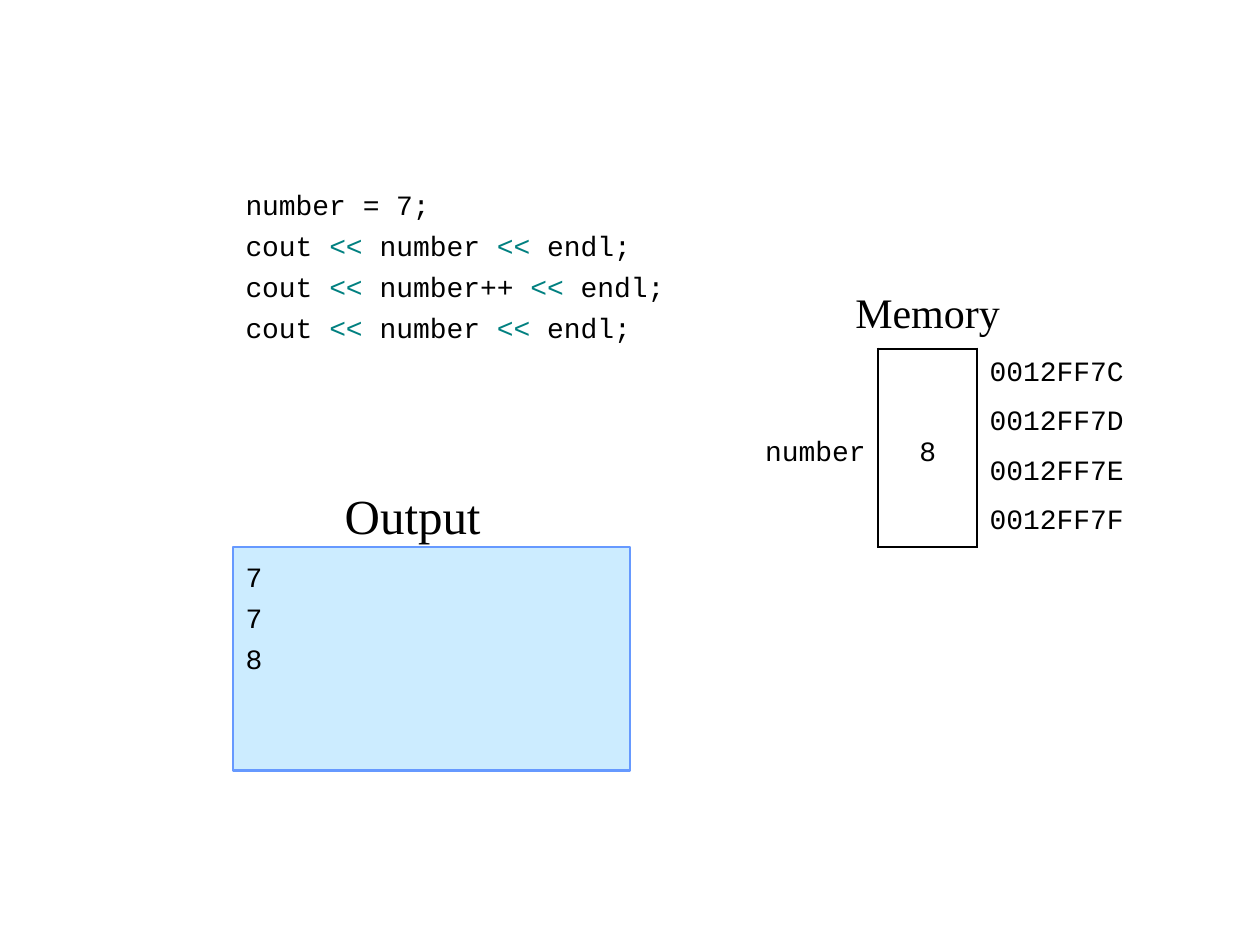
from dataclasses import dataclass

from lxml import etree
from pptx import Presentation
from pptx.dml.color import RGBColor
from pptx.enum.shapes import MSO_SHAPE
from pptx.enum.text import MSO_ANCHOR, PP_ALIGN
from pptx.oxml.ns import qn
from pptx.util import Cm, Pt

RECTANGLE = MSO_SHAPE.RECTANGLE
TOP, MIDDLE = MSO_ANCHOR.TOP, MSO_ANCHOR.MIDDLE
LEFT, CENTER, RIGHT = PP_ALIGN.LEFT, PP_ALIGN.CENTER, PP_ALIGN.RIGHT


@dataclass(frozen=True)
class Theme:
    """Colours, fonts and sizes of the slide."""
    ink: str = "000000"
    operator: str = "008080"
    screen: str = "CCECFF"
    screen_edge: str = "6699FF"
    code_font: str = "Courier New"
    heading_font: str = "Times New Roman"
    code_size: float = 16
    memory_size: float = 24
    output_size: float = 28
    line_gap: float = 4.2
    edge: float = 1.5


THEME = Theme()
OPERATOR = "<<"
CODE = [
    "number = 7;",
    "cout << number << endl;",
    "cout << number++ << endl;",
    "cout << number << endl;",
]
OUTPUT = ["7", "7", "8"]
ADDRESSES = ["0012FF7C", "0012FF7D", "0012FF7E", "0012FF7F"]


def style_paragraph(para, align=LEFT, font=THEME.code_font, size=THEME.code_size):
    """Set the alignment and font of one paragraph."""
    para.alignment = align
    para.font.name = font
    para.font.size = Pt(size)
    para.font.color.rgb = RGBColor.from_string(THEME.ink)


def write_lines(frame, lines):
    """Write code lines into a text frame, colouring the stream operators."""
    frame.word_wrap = True
    frame.vertical_anchor = TOP
    frame.margin_top = Cm(0.25)
    for index, line in enumerate(lines):
        para = frame.paragraphs[0] if index == 0 else frame.add_paragraph()
        style_paragraph(para)
        if index:
            para.space_before = Pt(THEME.line_gap)
        for position, piece in enumerate(line.split(OPERATOR)):
            if position:
                span = para.add_run()
                span.text = OPERATOR
                span.font.color.rgb = RGBColor.from_string(THEME.operator)
            para.add_run().text = piece


def add_code(page, left, top, width, height):
    """Place the program listing."""
    box = page.shapes.add_textbox(Cm(left), Cm(top), Cm(width), Cm(height))
    write_lines(box.text_frame, CODE)


def add_heading(page, text, size, center, bottom):
    """Place a heading centred above a region."""
    width, height = 4, 1.5
    box = page.shapes.add_textbox(
        Cm(center - width / 2), Cm(bottom - height), Cm(width), Cm(height))
    frame = box.text_frame
    frame.word_wrap = False
    frame.margin_top = Cm(0.25)
    para = frame.paragraphs[0]
    para.text = text
    style_paragraph(para, CENTER, THEME.heading_font, size)


def add_output(page, left, top, width, height):
    """Place the output screen with its heading."""
    add_heading(page, "Output", THEME.output_size, left + 3.62, top)
    screen = page.shapes.add_shape(
        RECTANGLE, Cm(left), Cm(top), Cm(width), Cm(height))
    screen.shadow.inherit = False
    screen.fill.solid()
    screen.fill.fore_color.rgb = RGBColor.from_string(THEME.screen)
    screen.line.color.rgb = RGBColor.from_string(THEME.screen_edge)
    screen.line.width = Pt(THEME.edge)
    write_lines(screen.text_frame, OUTPUT)


def set_borders(cell, sides):
    """Draw the named sides of a cell and clear the others."""
    properties = cell._tc.get_or_add_tcPr()
    for side in "LRTB":
        line = etree.SubElement(properties, qn(f"a:ln{side}"), w=str(Pt(THEME.edge)))
        if side in sides:
            fill = etree.SubElement(line, qn("a:solidFill"))
            etree.SubElement(fill, qn("a:srgbClr"), val=THEME.ink)
        else:
            etree.SubElement(line, qn("a:noFill"))


def fill_cell(cell, text, align, margin, spacing=1.0):
    """Write one memory cell."""
    cell.vertical_anchor = MIDDLE
    cell.margin_left = cell.margin_right = Cm(margin)
    cell.margin_top = cell.margin_bottom = 0
    para = cell.text_frame.paragraphs[0]
    para.text = text
    para.line_spacing = spacing
    style_paragraph(para, align)


def add_memory(page, left, top, widths, row_height):
    """Place the memory table with its heading."""
    last = len(ADDRESSES) - 1
    add_heading(page, "Memory", THEME.memory_size,
                left + widths[0] + widths[1] / 2, top)
    table = page.shapes.add_table(
        len(ADDRESSES), len(widths), Cm(left), Cm(top),
        Cm(sum(widths)), Cm(row_height * len(ADDRESSES))).table
    table.first_row = table.horz_banding = False
    for column, width in zip(table.columns, widths):
        column.width = Cm(width)
    for index, address in enumerate(ADDRESSES):
        table.rows[index].height = Cm(row_height)
        ends = "T" * (index == 0) + "B" * (index == last)
        for column, sides in enumerate(["R", "LR" + ends, "L"]):
            cell = table.cell(index, column)
            set_borders(cell, sides)
            cell.fill.background()
            fill_cell(cell, address if column == 2 else "", LEFT, 0.25)
    for column, text, align, margin in [(0, "number", RIGHT, 0.25), (1, "8", CENTER, 0)]:
        cell = table.cell(0, column)
        cell.merge(table.cell(last, column))
        fill_cell(cell, text, align, margin, 1.4)
    value = table.cell(0, 1)._tc.get_or_add_tcPr()
    for line in value.findall(qn("a:lnB")):
        line.remove(line[0])
        fill = etree.SubElement(line, qn("a:solidFill"))
        etree.SubElement(fill, qn("a:srgbClr"), val=THEME.ink)


def main():
    """Build the slide and save it."""
    deck = Presentation()
    deck.slide_width, deck.slide_height = Cm(25.4), Cm(19.05)
    page = deck.slides.add_slide(deck.slide_layouts[6])
    add_code(page, 4.7, 3.53, 10, 3.5)
    add_memory(page, 14.7, 7.03, [3, 2, 3.5], 1)
    add_output(page, 4.7, 11.03, 8, 4.5)
    deck.save("out.pptx")


if __name__ == "__main__":
    main()
